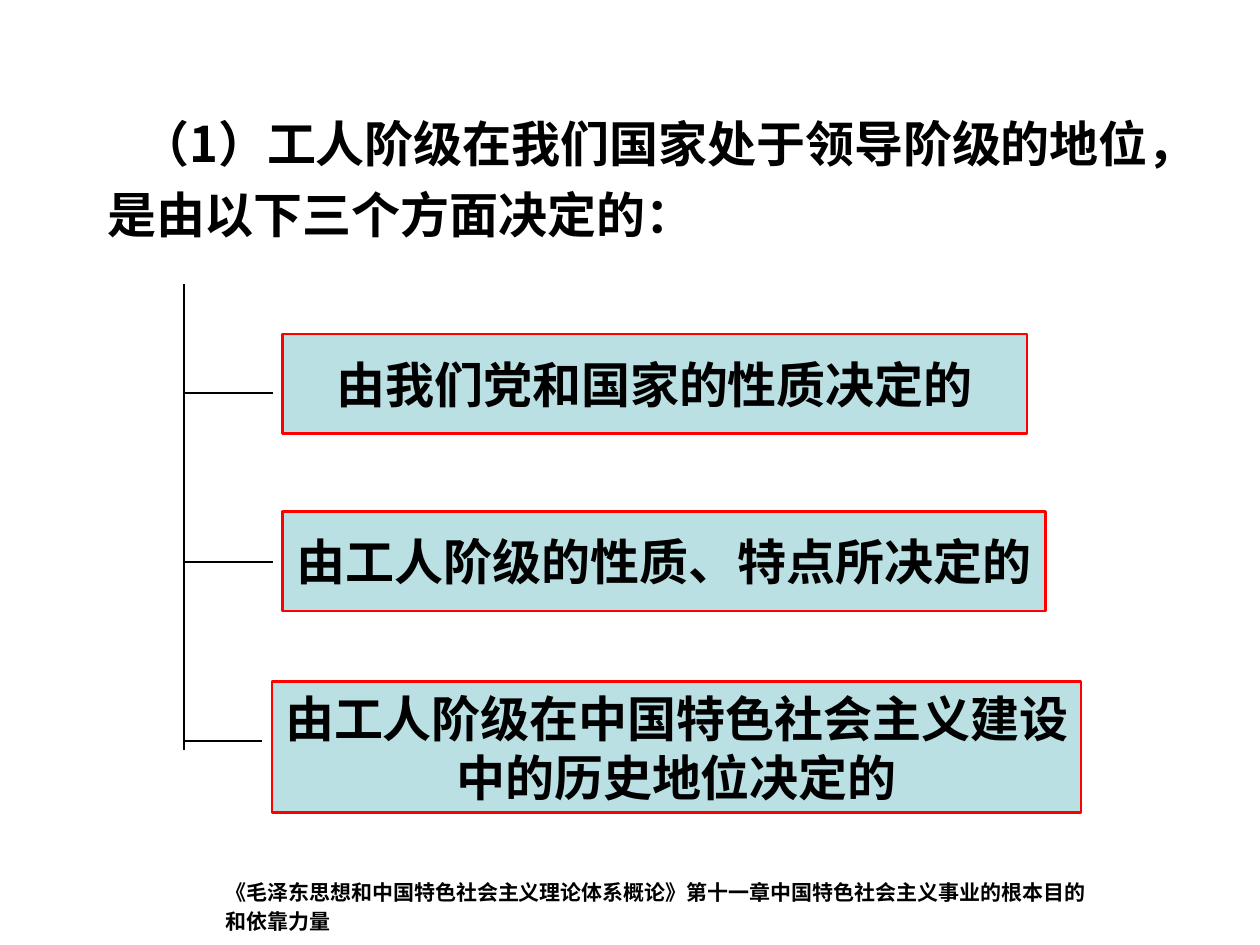
from dataclasses import dataclass

from lxml import etree
from pptx import Presentation
from pptx.dml.color import RGBColor
from pptx.enum.shapes import MSO_CONNECTOR, MSO_SHAPE
from pptx.enum.text import MSO_ANCHOR, MSO_AUTO_SIZE, PP_ALIGN
from pptx.oxml.ns import qn
from pptx.util import Pt

BLACK = RGBColor(0x00, 0x00, 0x00)
RED = RGBColor(0xFF, 0x00, 0x00)
TEAL = RGBColor(0xBB, 0xE0, 0xE3)
FONT = "Noto Sans CJK SC"
LEFT, MID = PP_ALIGN.LEFT, PP_ALIGN.CENTER
TOP, CENTER = MSO_ANCHOR.TOP, MSO_ANCHOR.MIDDLE
RECT, LINE = MSO_SHAPE.RECTANGLE, MSO_CONNECTOR.STRAIGHT
FIXED = MSO_AUTO_SIZE.NONE
TITLE_ONLY = 5

SPINE_X, SPINE_TOP, SPINE_END = 105.1, 162, 428.4
GAP = 5.5  # between a branch line and its box


@dataclass
class Reason:
    text: str
    left: float
    top: float
    width: float
    height: float
    branch: float  # height at which the branch leaves the spine
    wrap: bool = False


REASONS = [
    Reason("由我们党和国家的性质决定的", 161.3, 190.8, 425.5, 56.9, 224.6),
    Reason("由工人阶级的性质、特点所决定的", 161.3, 292.3, 436.3, 56.9, 321.1),
    Reason("由工人阶级在中国特色社会主义建设中的历史地位决定的",
           155.5, 389.5, 462.2, 74.9, 423.4, True),
]


def write(shape, text: str, size: float, align=LEFT, anchor=TOP,
          wrap: bool = True, spacing: float = 1.0):
    """Put one bold run into the shape and return its paragraph."""
    frame = shape.text_frame
    frame.auto_size = FIXED
    frame.word_wrap = wrap
    frame.vertical_anchor = anchor
    para = frame.paragraphs[0]
    para.alignment = align
    para.line_spacing = spacing
    run = para.add_run()
    run.text = text
    font = run.font
    font.name, font.size, font.bold = FONT, Pt(size), True
    font.color.rgb = BLACK
    east = etree.SubElement(font._element, qn("a:ea"))
    east.set("typeface", FONT)
    return para


def place(shape, left: float, top: float, width: float, height: float) -> None:
    shape.left, shape.top = Pt(left), Pt(top)
    shape.width, shape.height = Pt(width), Pt(height)


def add_line(slide, x1: float, y1: float, x2: float, y2: float) -> None:
    line = slide.shapes.add_connector(LINE, Pt(x1), Pt(y1), Pt(x2), Pt(y2))
    line.line.color.rgb = BLACK
    line.line.width = Pt(0.75)
    etree.SubElement(line._element.spPr, qn("a:effectLst"))


def add_reason(slide, item: Reason) -> None:
    """Draw a boxed reason and the branch that leads to it."""
    add_line(slide, SPINE_X, item.branch, item.left - GAP, item.branch)
    box = slide.shapes.add_shape(RECT, Pt(item.left), Pt(item.top),
                                 Pt(item.width), Pt(item.height))
    box.shadow.inherit = False
    box.fill.solid()
    box.fill.fore_color.rgb = TEAL
    box.line.color.rgb = RED
    box.line.width = Pt(1.5)
    write(box, item.text, 28, MID, CENTER, item.wrap)


def main() -> None:
    deck = Presentation()
    deck.slide_width, deck.slide_height = Pt(720), Pt(540)
    slide = deck.slides.add_slide(deck.slide_layouts[TITLE_ONLY])

    title = slide.shapes.title
    place(title, 54, 54.7, 629.3, 87.8)
    head = write(title, "（1）工人阶级在我们国家处于领导阶级的地位，"
                 "是由以下三个方面决定的：", 28, spacing=1.2)
    head._p.get_or_add_pPr().set("indent", str(Pt(19)))

    add_line(slide, SPINE_X, SPINE_TOP, SPINE_X, SPINE_END)
    for item in REASONS:
        add_reason(slide, item)

    source = slide.shapes.add_textbox(Pt(121.7), Pt(496.8), Pt(516.2), Pt(40.3))
    write(source, "《毛泽东思想和中国特色社会主义理论体系概论》"
          "第十一章中国特色社会主义事业的根本目的和依靠力量", 12, spacing=1.15)

    deck.save("out.pptx")


if __name__ == "__main__":
    main()
